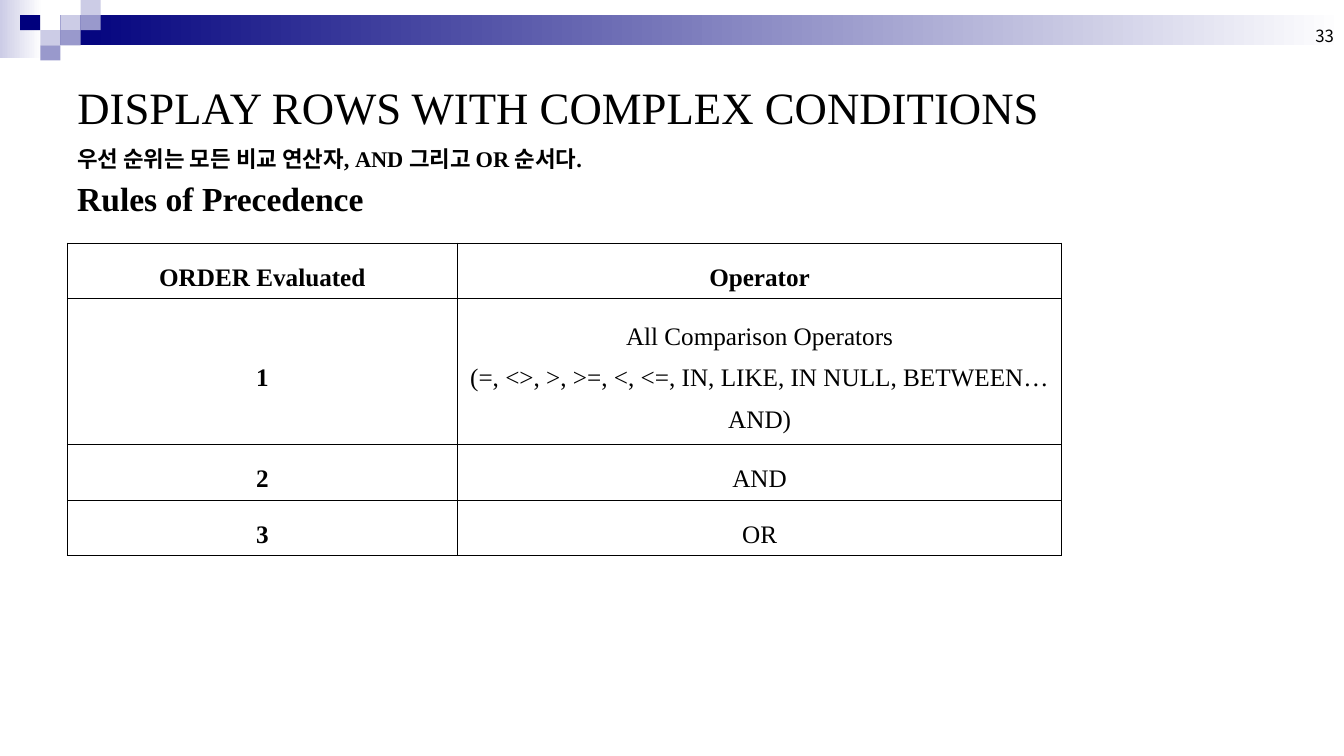
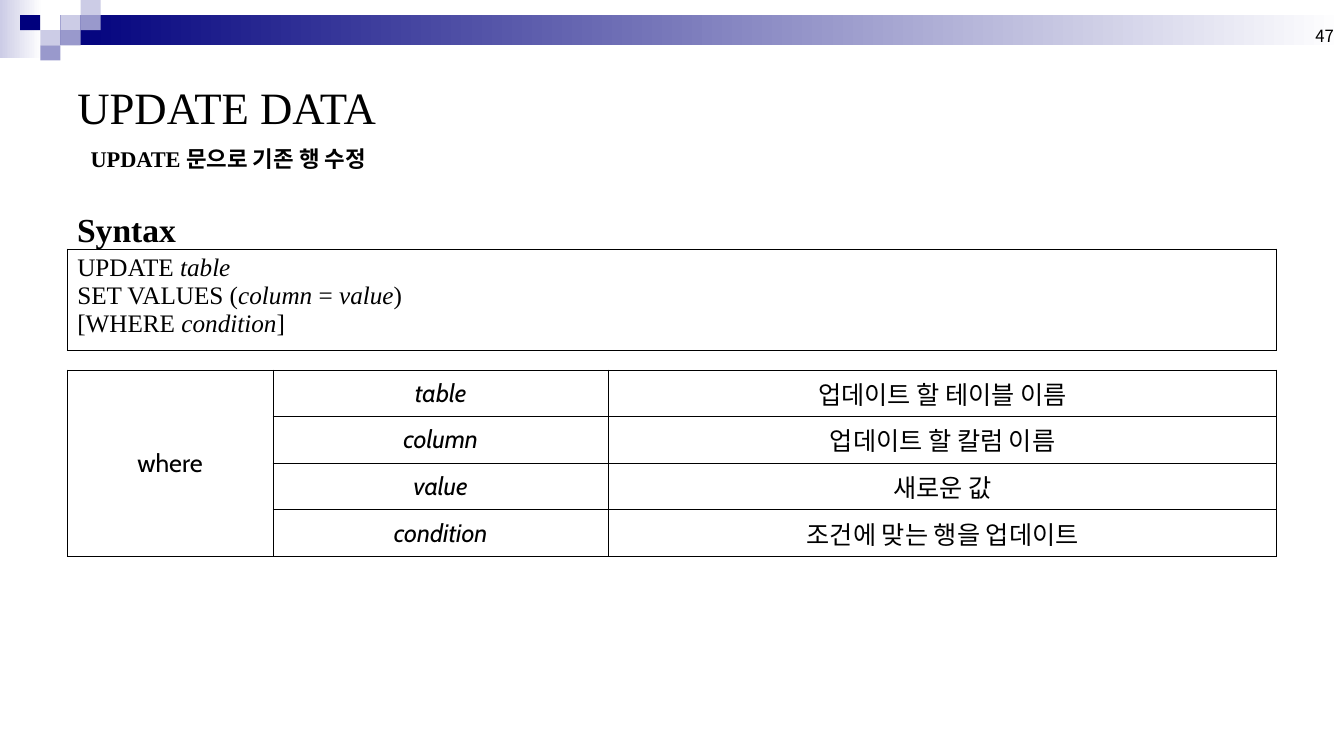
from dataclasses import dataclass

from lxml import etree
from pptx import Presentation
from pptx.dml.color import RGBColor
from pptx.enum.shapes import MSO_SHAPE
from pptx.enum.text import MSO_ANCHOR, MSO_AUTO_SIZE, PP_ALIGN
from pptx.oxml.ns import qn
from pptx.util import Emu, Inches, Pt

RECT = MSO_SHAPE.RECTANGLE
LEFT, CENTER, RIGHT = PP_ALIGN.LEFT, PP_ALIGN.CENTER, PP_ALIGN.RIGHT
TOP, MIDDLE, BOTTOM = MSO_ANCHOR.TOP, MSO_ANCHOR.MIDDLE, MSO_ANCHOR.BOTTOM
NO_FIT = MSO_AUTO_SIZE.NONE

W, H = Inches(13.34), Inches(7.5)
ROW = Inches(0.05)  # vertical grid step
CELL_W, CELL_H = Inches(0.2), Inches(0.15)  # corner checker
MARGIN, BODY = 0.05, 0.9  # shares of the slide width
TITLE_ONLY = 5

COLORS = {"navy": "00007D", "mid": "9999CC", "light": "CCCCE6",
          "white": "FFFFFF", "black": "000000"}
SERIF, SANS, KOREAN = "Times New Roman", "Cabin", "Noto Sans CJK KR"

# column, row, colour
CHECKER = [(3, 1, "light"), (4, 0, "light"), (4, 1, "mid"), (2, 2, "light"),
           (1, 1, "navy"), (3, 2, "mid"), (2, 3, "mid")]


@dataclass
class Style:
    size: float
    name: str = SERIF
    bold: bool = False
    align: PP_ALIGN = LEFT
    anchor: MSO_ANCHOR = TOP
    spacing: float = 1.0


@dataclass
class Label:
    """x and w are shares of the slide width, y and h are grid rows."""
    text: str
    x: float
    y: float
    w: float
    h: float
    style: Style


@dataclass
class Grid:
    """Columns are weights, rows are grid rows; bold holds bold cells."""
    y: float
    w: float
    cols: list[float]
    rows: list[float]
    cells: list[list[str]]
    style: Style
    bold: tuple[tuple[int, int], ...] = ()
    merged_rows: int = 1


@dataclass
class Page:
    number: str
    title: str
    labels: list[Label]
    grids: list[Grid]


TITLE = Style(32, anchor=MIDDLE)
LEAD = Style(16, bold=True)
HEADING = Style(24, bold=True)
NUMBER = Style(12, KOREAN, align=RIGHT, anchor=BOTTOM)
RULES = Style(18, align=CENTER, anchor=MIDDLE, spacing=1.5)
CODE = Style(18)
TERMS = Style(18, SANS, align=CENTER, anchor=MIDDLE)

PAGES = [
    Page("33", "DISPLAY ROWS WITH COMPLEX CONDITIONS",
         [Label("Rules of Precedence", MARGIN, 34.4, 0.67, 11, HEADING),
          Label("우선 순위는 모든 비교 연산자, AND 그리고 OR 순서다.",
                MARGIN, 27.8, 0.77, 8.8, LEAD)],
         [Grid(48.2, 0.74, [3.87, 5.99], [11, 29, 11, 11],
               [["ORDER Evaluated", "Operator"],
                ["1", "All Comparison Operators\n"
                      "(=, <>, >, >=, <, <=, IN, LIKE, IN NULL, BETWEEN…AND)"],
                ["2", "AND"],
                ["3", "OR"]],
               RULES, bold=((0, 0), (0, 1), (1, 0), (2, 0), (3, 0)))]),
    Page("47", "UPDATE DATA",
         [Label("Syntax", MARGIN, 40.4, 0.67, 11, HEADING),
          Label("UPDATE 문으로 기존 행 수정", 0.06, 27.8, 0.82, 8.8, LEAD)],
         [Grid(49.4, BODY, [1], [20],
               [["UPDATE *table*\nSET VALUES (*column* = *value*)\n"
                 "[WHERE *condition*]"]], CODE),
          Grid(73.4, BODY, [2.04, 3.33, 6.63], [9.2] * 4,
               [["where", "*table*", "업데이트 할 테이블 이름"],
                ["", "*column*", "업데이트 할 칼럼 이름"],
                ["", "*value*", "새로운 값"],
                ["", "*condition*", "조건에 맞는 행을 업데이트"]],
               TERMS, merged_rows=4)]),
]


def rgb(key: str) -> RGBColor:
    return RGBColor.from_string(COLORS[key])


def write(tf, text: str, style: Style, bold: bool = False) -> None:
    """Fill a text frame; newlines part paragraphs, *stars* mark italics."""
    for n, line in enumerate(text.split("\n")):
        p = tf.paragraphs[0] if n == 0 else tf.add_paragraph()
        p.alignment, p.line_spacing = style.align, style.spacing
        for k, piece in enumerate(line.split("*")):
            if not piece:
                continue
            r = p.add_run()
            r.text = piece
            font = {"size": Pt(style.size), "name": style.name,
                    "bold": style.bold or bold, "italic": k % 2 == 1}
            for key, value in font.items():
                setattr(r.font, key, value)
            r.font.color.rgb = rgb("black")
            ea = etree.SubElement(r.font._element, qn("a:ea"))
            ea.set("typeface", KOREAN)


def add_label(s, label: Label, sp=None) -> None:
    """Write a label into sp, or into a new text box."""
    if sp is None:
        sp = s.shapes.add_textbox(0, 0, 0, 0)
    box = {"left": int(label.x * W), "top": int(label.y * ROW),
           "width": int(label.w * W), "height": int(label.h * ROW)}
    for key, value in box.items():
        setattr(sp, key, value)
    tf = sp.text_frame
    frame = {"word_wrap": True, "auto_size": NO_FIT,
             "vertical_anchor": label.style.anchor}
    for key, value in frame.items():
        setattr(tf, key, value)
    write(tf, label.text, label.style)


def add_borders(cell) -> None:
    tc_pr = cell._tc.get_or_add_tcPr()
    for n, side in enumerate(("lnL", "lnR", "lnT", "lnB")):
        ln = etree.Element(qn(f"a:{side}"), w=str(Pt(0.45)))
        fill = etree.SubElement(ln, qn("a:solidFill"))
        etree.SubElement(fill, qn("a:srgbClr"), val=COLORS["black"])
        tc_pr.insert(n, ln)


def add_grid(s, grid: Grid) -> None:
    width, height = int(grid.w * W), int(sum(grid.rows) * ROW)
    table = s.shapes.add_table(len(grid.rows), len(grid.cols), int(MARGIN * W),
                               int(grid.y * ROW), width, height).table
    table.first_row = table.horz_banding = False
    for col, weight in zip(table.columns, grid.cols):
        col.width = Emu(int(width * weight / sum(grid.cols)))
    for row, steps in zip(table.rows, grid.rows):
        row.height = Emu(int(steps * ROW))
    for i, line in enumerate(grid.cells):
        for j, text in enumerate(line):
            cell = table.cell(i, j)
            cell.fill.background()
            add_borders(cell)
            cell.vertical_anchor = grid.style.anchor
            write(cell.text_frame, text, grid.style, (i, j) in grid.bold)
    if grid.merged_rows > 1:
        table.cell(0, 0).merge(table.cell(grid.merged_rows - 1, 0))


def add_block(group, x: int, y: int, w: int, h: int, color: str,
              fade: bool = False) -> None:
    """Add a plain rectangle, fading to white on the right if asked."""
    sp = group.shapes.add_shape(RECT, x, y, w, h)
    sp.shadow.inherit = False
    sp.line.fill.background()
    if fade:
        sp.fill.gradient()
        sp.fill.gradient_angle = 0
        for stop, key in zip(sp.fill.gradient_stops, (color, "white")):
            stop.color.rgb = rgb(key)
    else:
        sp.fill.solid()
        sp.fill.fore_color.rgb = rgb(color)


def add_band(s, layout) -> None:
    """Draw the top band on s and move it to the shared layout."""
    group = s.shapes.add_group_shape()
    add_block(group, 0, 0, Inches(0.42), Inches(0.58), "light", fade=True)
    add_block(group, 3 * CELL_W, CELL_H, W - 3 * CELL_W, 2 * CELL_H,
              "navy", fade=True)
    for col, row, color in CHECKER:
        add_block(group, col * CELL_W, row * CELL_H, CELL_W, CELL_H, color)
    tree = layout.shapes._spTree
    tree.append(group._element)
    for n, props in enumerate(tree.iter(qn("p:cNvPr")), 1):
        props.set("id", str(n))


def add_page(prs, page: Page):
    s = prs.slides.add_slide(prs.slide_layouts[TITLE_ONLY])
    add_label(s, Label(page.number, 0.77, 0, 0.23, 10, NUMBER))
    add_label(s, Label(page.title, MARGIN, 10, BODY, 22.4, TITLE),
              s.shapes.title)
    for label in page.labels:
        add_label(s, label)
    for grid in page.grids:
        add_grid(s, grid)
    return s


def main() -> None:
    prs = Presentation()
    prs.slide_width, prs.slide_height = W, H
    slides = [add_page(prs, page) for page in PAGES]
    add_band(slides[0], prs.slide_layouts[TITLE_ONLY])
    prs.save("out.pptx")


if __name__ == "__main__":
    main()
